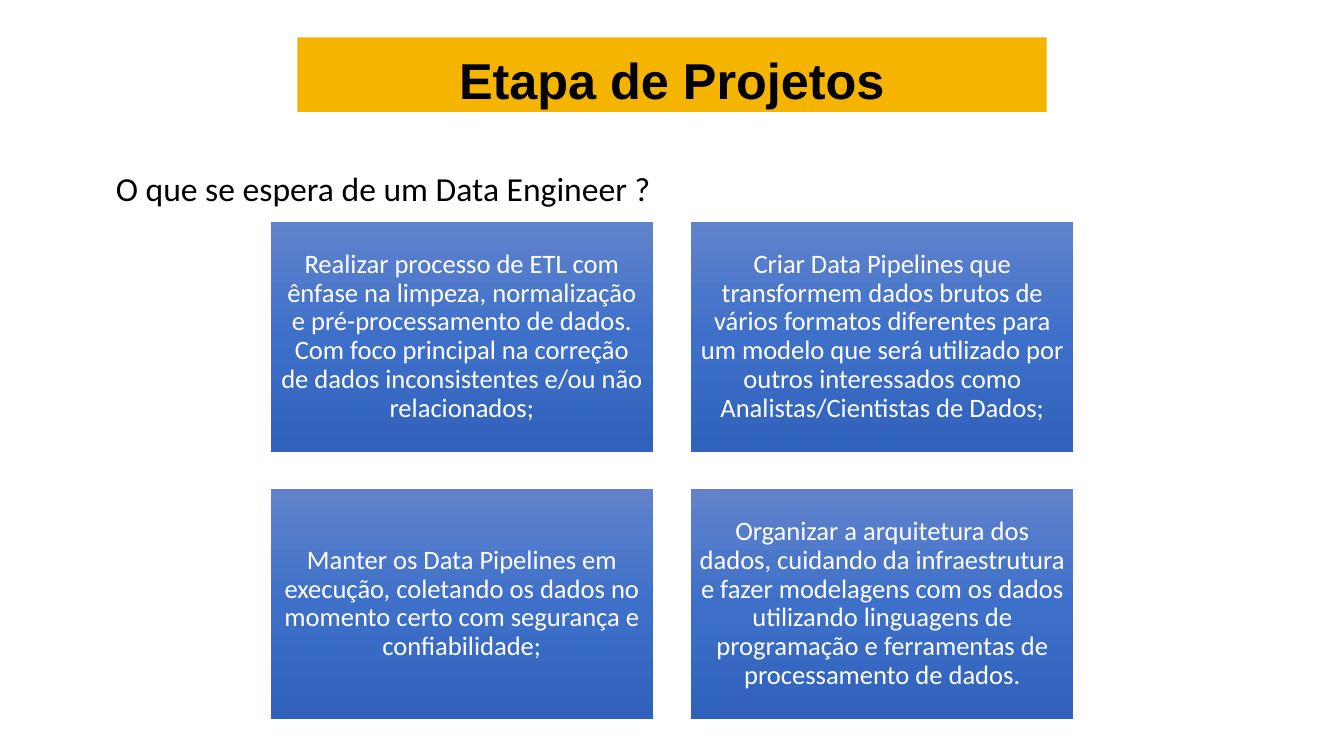
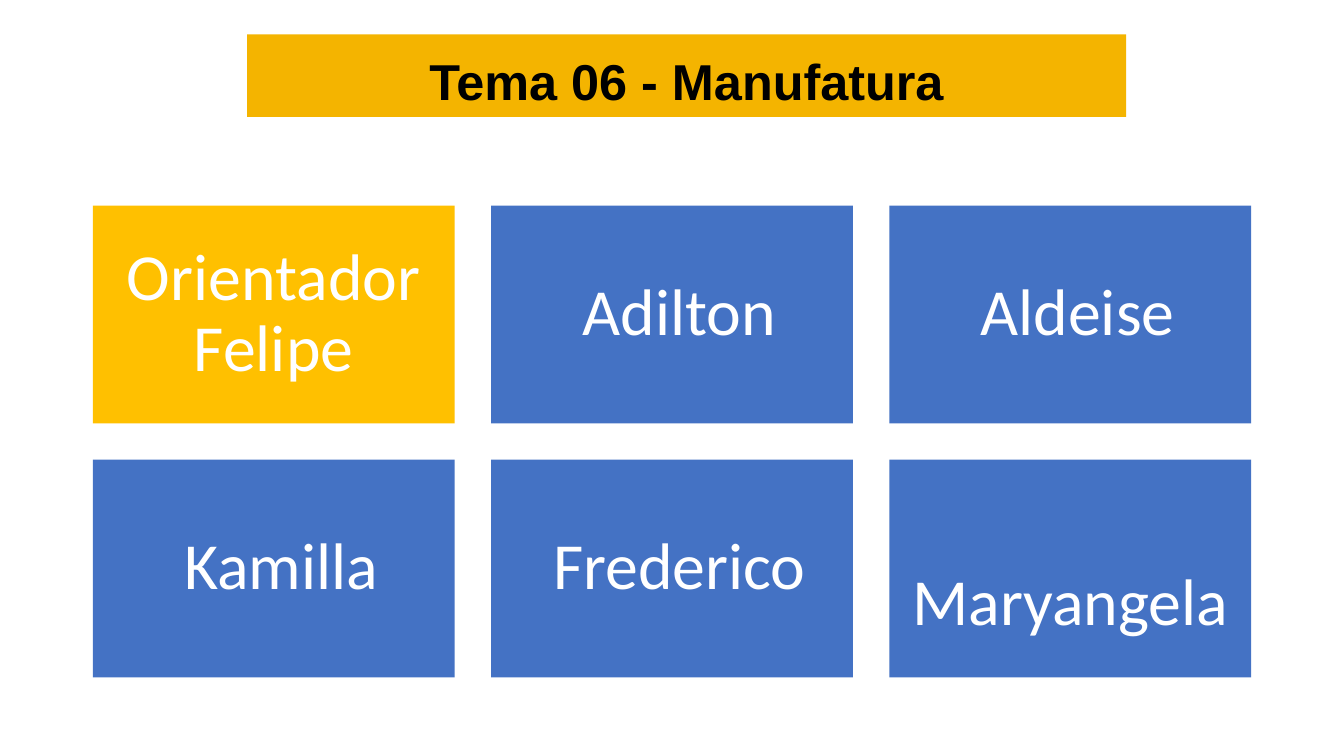
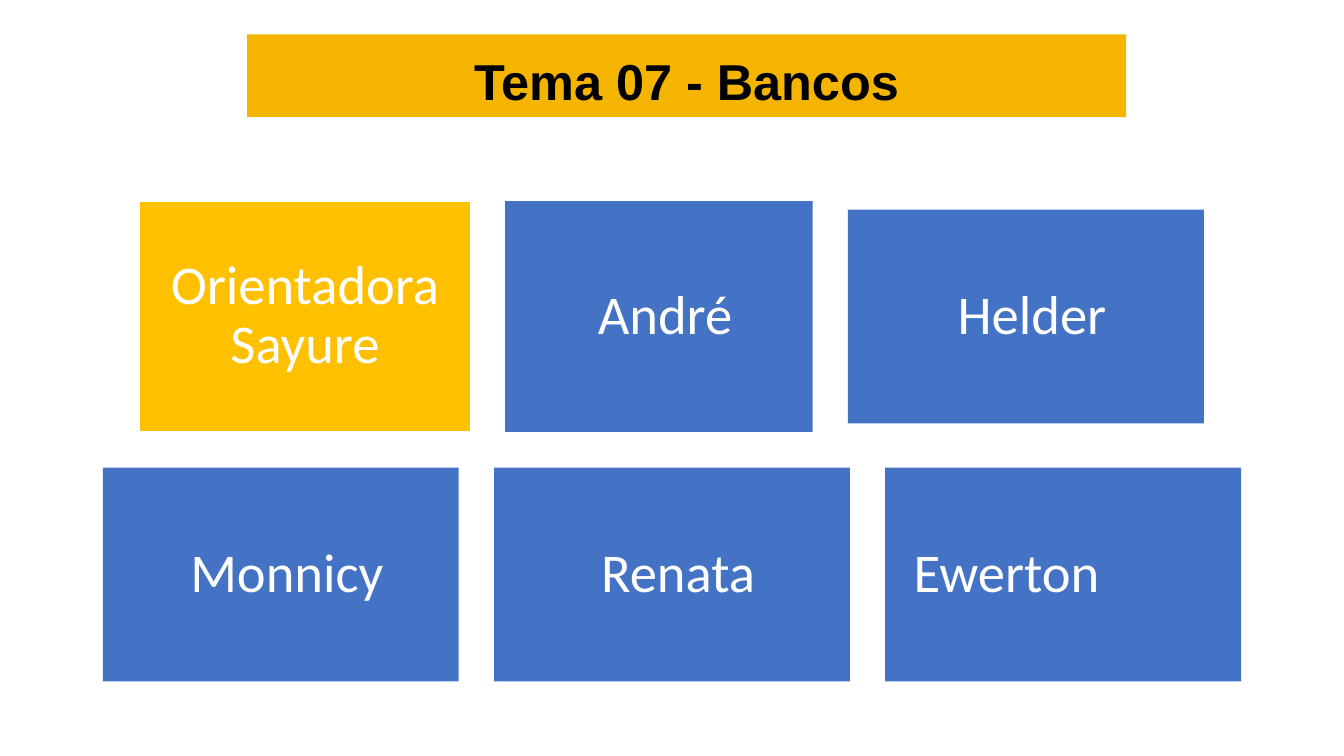
"""Build three slides: expectations of a data engineer and two project teams."""
from copy import deepcopy

from pptx import Presentation
from pptx.dml.color import RGBColor
from pptx.enum.shapes import MSO_SHAPE
from pptx.enum.text import MSO_ANCHOR, MSO_AUTO_SIZE, PP_ALIGN as ALIGN
from pptx.oxml.ns import qn
from pptx.util import Inches, Pt

COLORS = {
    "band": "F4B400", "advisor": "FFC000", "member": "4472C4",
    "light": "6183CB", "middle": "3E70CA", "dark": "3062BB",
    "black": "000000", "white": "FFFFFF",
}
GRADIENT = [(0, "light"), (0.5, "middle"), (1, "dark")]
SLIDE_WIDTH, SLIDE_HEIGHT = 13.33, 7.5
NARROW_BAND = (2.95, 0.37, 7.43, 0.74)
WIDE_BAND = (2.45, 0.34, 8.72, 0.82)
TASK, TEAM_CARD, BANK_CARD = (3.79, 2.28), (3.59, 2.16), (3.53, 2.12)

SLIDES = [
    {
        "title": "Etapa de Projetos", "band": NARROW_BAND,
        "lead": "O que se espera de um Data Engineer ?",
        "size": 19, "inset": 0.08, "gap": 0.38, "middles": (3.34, 5.99),
        "rows": [
            [("Realizar processo de ETL com ênfase na limpeza, normalização e "
              "pré-processamento de dados. Com foco principal na correção de dados "
              "inconsistentes e/ou não relacionados;", "gradient", TASK),
             ("Criar Data Pipelines que transformem dados brutos de vários formatos "
              "diferentes para um modelo que será utilizado por outros interessados "
              "como Analistas/Cientistas de Dados;", "gradient", TASK)],
            [("Manter os Data Pipelines em execução, coletando os dados no momento "
              "certo com segurança e confiabilidade;", "gradient", TASK),
             ("Organizar a arquitetura dos dados, cuidando da infraestrutura e fazer "
              "modelagens com os dados utilizando linguagens de programação e "
              "ferramentas de processamento de dados.", "gradient", TASK)],
        ],
    },
    {
        "title": "Tema 06 - Manufatura", "band": WIDE_BAND,
        "size": 47, "inset": 0.2, "gap": 0.36, "middles": (3.12, 5.64),
        "rows": [
            [("Orientador Felipe", "advisor", TEAM_CARD),
             (" Adilton", "member", TEAM_CARD),
             (" Aldeise", "member", TEAM_CARD)],
            [(" Kamilla", "member", TEAM_CARD),
             (" Frederico", "member", TEAM_CARD),
             (" Maryangela", "member", TEAM_CARD)],
        ],
    },
    {
        "title": "Tema 07 - Bancos", "band": WIDE_BAND,
        "size": 39, "inset": 0.16, "gap": 0.35, "middles": (3.14, 5.7),
        "left_aligned": " Ewerton",
        "rows": [
            [("Orientadora Sayure", "advisor", (3.27, 2.27)),
             (" André", "member", (3.05, 2.29)),
             (" Helder", "member", BANK_CARD)],
            [(" Monnicy", "member", BANK_CARD),
             (" Renata", "member", BANK_CARD),
             (" Ewerton", "member", BANK_CARD)],
        ],
    },
]


def rgb(name):
    return RGBColor.from_string(COLORS[name])


def write(frame, text, size, font, color, align, spacing=1.0, bold=False):
    frame.word_wrap = True
    paragraph = frame.paragraphs[0]
    paragraph.alignment = align
    paragraph.line_spacing = spacing
    run = paragraph.add_run()
    run.text = text
    run.font.size, run.font.name, run.font.bold = Pt(size), font, bold
    run.font.color.rgb = rgb(color)


def set_insets(frame, inset):
    frame.margin_left = frame.margin_right = Inches(inset)
    frame.margin_top = frame.margin_bottom = Inches(inset)
    frame.vertical_anchor = MSO_ANCHOR.MIDDLE


def fill_gradient(shape):
    shape.fill.gradient()
    shape.fill.gradient_angle = 270
    stop_list = shape._element.spPr.find(qn("a:gradFill")).find(qn("a:gsLst"))
    stop_list.append(deepcopy(stop_list[-1]))
    for stop, (position, color) in zip(shape.fill.gradient_stops, GRADIENT):
        stop.position = position
        stop.color.rgb = rgb(color)


def add_title(slide, text, band):
    title = slide.shapes.title
    title.left, title.top, title.width, title.height = map(Inches, band)
    title.fill.solid()
    title.fill.fore_color.rgb = rgb("band")
    set_insets(title.text_frame, 0.1)
    title.text_frame.auto_size = MSO_AUTO_SIZE.NONE
    write(title.text_frame, text, 36, "Arial", "black", ALIGN.CENTER, 1.15, True)


def add_lead(slide, text):
    box = slide.shapes.add_textbox(*map(Inches, (1.05, 1.62, 6.68, 0.5)))
    write(box.text_frame, text, 24, "Calibri", "black", ALIGN.LEFT)
    box.text_frame.auto_size = MSO_AUTO_SIZE.SHAPE_TO_FIT_TEXT


def add_card(slide, place, text, fill, size, inset, align):
    card = slide.shapes.add_shape(MSO_SHAPE.RECTANGLE, *map(Inches, place))
    card.shadow.inherit = False
    card.line.fill.background()
    if fill == "gradient":
        fill_gradient(card)
    else:
        card.fill.solid()
        card.fill.fore_color.rgb = rgb(fill)
    set_insets(card.text_frame, inset)
    write(card.text_frame, text, size, "Calibri", "white", align, 0.9)


def add_cards(slide, content):
    gap = content["gap"]
    for middle, row in zip(content["middles"], content["rows"]):
        row_width = sum(width for _, _, (width, _) in row) + gap * (len(row) - 1)
        left = (SLIDE_WIDTH - row_width) / 2
        for text, fill, (width, height) in row:
            align = ALIGN.LEFT if text == content.get("left_aligned") else ALIGN.CENTER
            place = (left, middle - height / 2, width, height)
            add_card(slide, place, text, fill, content["size"], content["inset"], align)
            left += width + gap


presentation = Presentation()
presentation.slide_width = Inches(SLIDE_WIDTH)
presentation.slide_height = Inches(SLIDE_HEIGHT)
for content in SLIDES:
    slide = presentation.slides.add_slide(presentation.slide_layouts[5])
    add_title(slide, content["title"], content["band"])
    if "lead" in content:
        add_lead(slide, content["lead"])
    add_cards(slide, content)
presentation.save("out.pptx")
